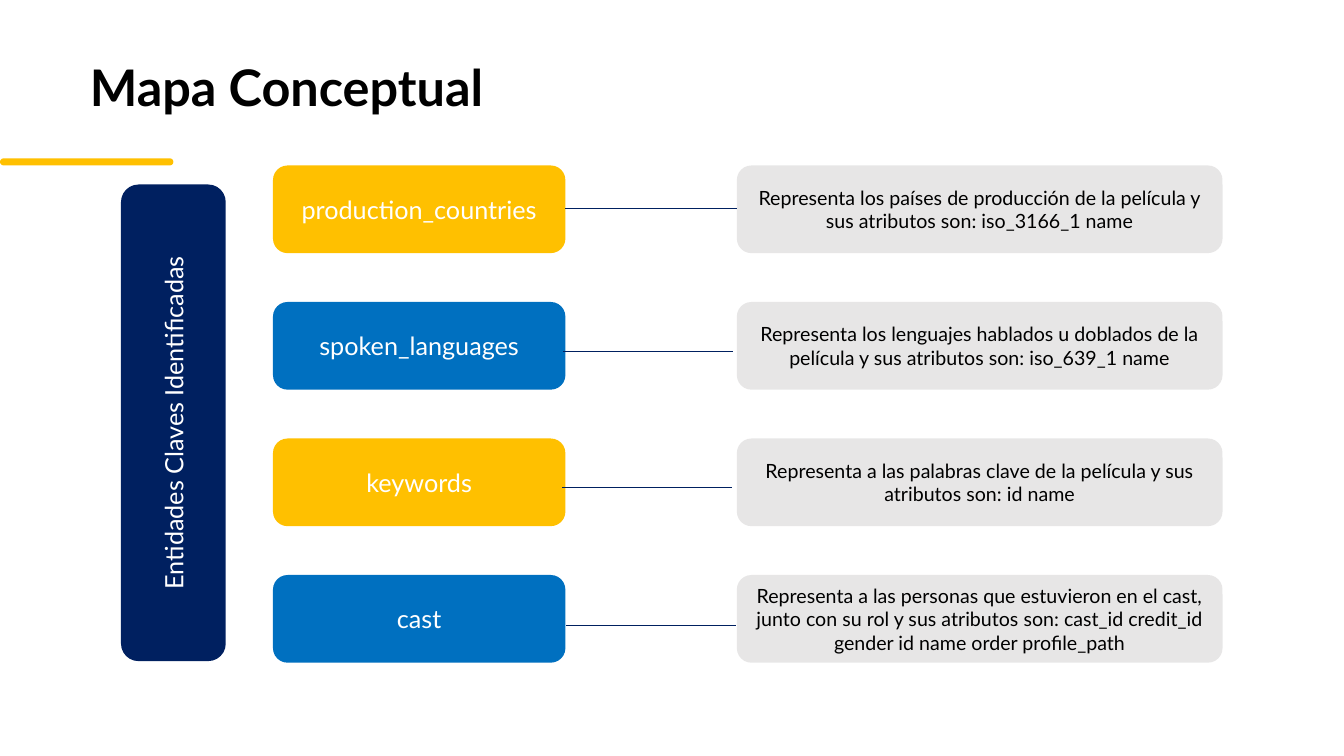
from dataclasses import dataclass

from lxml.etree import SubElement
from pptx import Presentation
from pptx.dml.color import RGBColor
from pptx.enum.shapes import MSO_CONNECTOR as Connector, MSO_SHAPE as Shape
from pptx.enum.text import MSO_ANCHOR as Anchor, MSO_AUTO_SIZE as AutoSize, PP_ALIGN as Align
from pptx.oxml.ns import qn
from pptx.util import Cm, Pt


@dataclass(frozen=True)
class Theme:
    font: str = "Lato"
    navy: str = "002060"
    gold: str = "FFC000"
    blue: str = "0070C0"
    gray: str = "D0CECE"
    white: str = "FFFFFF"
    black: str = "000000"
    title_size: int = 36
    label_size: int = 18
    detail_size: int = 14
    line_width: float = 0.5


THEME = Theme()

# Row grid, in centimetres
ROW_TOP, ROW_PITCH, ROW_HEIGHT = 4.17, 3.44, 2.21
NAME_LEFT, NAME_WIDTH = 6.88, 7.37
DETAIL_LEFT, DETAIL_WIDTH = 18.57, 12.24

# Entity, description, and the start, end and height of its link
ENTITIES = [
    ("production_countries",
     "Representa los países de producción de la película y sus atributos son: iso_3166_1 name",
     (14.25, 18.57, 5.26)),
    ("spoken_languages",
     "Representa los lenguajes hablados u doblados de la película y sus atributos son: iso_639_1 name",
     (14.2, 18.47, 8.86)),
    ("keywords",
     "Representa a las palabras clave de la película y sus atributos son: id name",
     (14.17, 18.44, 12.27)),
    ("cast",
     "Representa a las personas que estuvieron en el cast, junto con su rol y sus atributos son: "
     "cast_id credit_id gender id name order profile_path",
     (14.27, 18.54, 15.75)),
]


def set_all(target, values):
    for name, value in values.items():
        setattr(target, name, value)


def write_text(frame, text, size, color, align, anchor, bold=False):
    set_all(frame, {"word_wrap": True, "auto_size": AutoSize.NONE, "vertical_anchor": anchor})
    para = frame.paragraphs[0]
    para.alignment = align
    span = para.add_run()
    span.text = text
    set_all(span.font, {"name": THEME.font, "size": Pt(size), "bold": bold})
    span.font.color.rgb = RGBColor.from_string(color)
    return para


def add_title(page, text):
    title = page.shapes.title
    set_all(title, {"left": Cm(2.01), "top": Cm(1.47), "width": Cm(13.92), "height": Cm(1.73)})
    para = write_text(title.text_frame, text, THEME.title_size, THEME.black,
                      Align.LEFT, Anchor.TOP, bold=True)
    para.line_spacing = 0.9


def add_box(page, place, fill, opacity=None):
    box = page.shapes.add_shape(Shape.ROUNDED_RECTANGLE, *map(Cm, place))
    box.shadow.inherit = False
    box.fill.solid()
    box.fill.fore_color.rgb = RGBColor.from_string(fill)
    box.line.fill.background()
    if opacity is not None:
        tint = box.element.spPr.find(".//" + qn("a:srgbClr"))
        SubElement(tint, qn("a:alpha")).set("val", str(opacity * 1000))
    return box


def add_label(page, place, text, fill, size=THEME.label_size, color=THEME.white, opacity=None):
    box = add_box(page, place, fill, opacity)
    write_text(box.text_frame, text, size, color, Align.CENTER, Anchor.MIDDLE)
    return box


def add_link(page, start, end, height):
    link = page.shapes.add_connector(Connector.STRAIGHT, Cm(start), Cm(height), Cm(end), Cm(height))
    link.line.width = Pt(THEME.line_width)
    link.line.color.rgb = RGBColor.from_string(THEME.navy)
    SubElement(link.element.spPr, qn("a:effectLst"))


def main():
    deck = Presentation()
    set_all(deck, {"slide_width": Cm(33.87), "slide_height": Cm(19.05)})
    page = deck.slides.add_slide(deck.slide_layouts[5])

    # Heading and accent bar
    add_title(page, "Mapa Conceptual")
    accent = add_box(page, (0, 3.99, 4.37, 0.18), THEME.gold)
    accent.adjustments[0] = 0.5

    # Upright heading of the map
    spine = add_label(page, (3.05, 4.65, 2.64, 12.01), "Entidades Claves Identificadas", THEME.navy)
    spine.element.txBody.bodyPr.set("vert", "vert270")

    # One row per entity
    for row, (name, detail, link) in enumerate(ENTITIES):
        top = ROW_TOP + row * ROW_PITCH
        fill = THEME.blue if row % 2 else THEME.gold
        add_label(page, (NAME_LEFT, top, NAME_WIDTH, ROW_HEIGHT), name, fill)
        add_label(page, (DETAIL_LEFT, top, DETAIL_WIDTH, ROW_HEIGHT), detail, THEME.gray,
                  THEME.detail_size, THEME.black, opacity=50)
        add_link(page, *link)

    deck.save("out.pptx")


if __name__ == "__main__":
    main()
